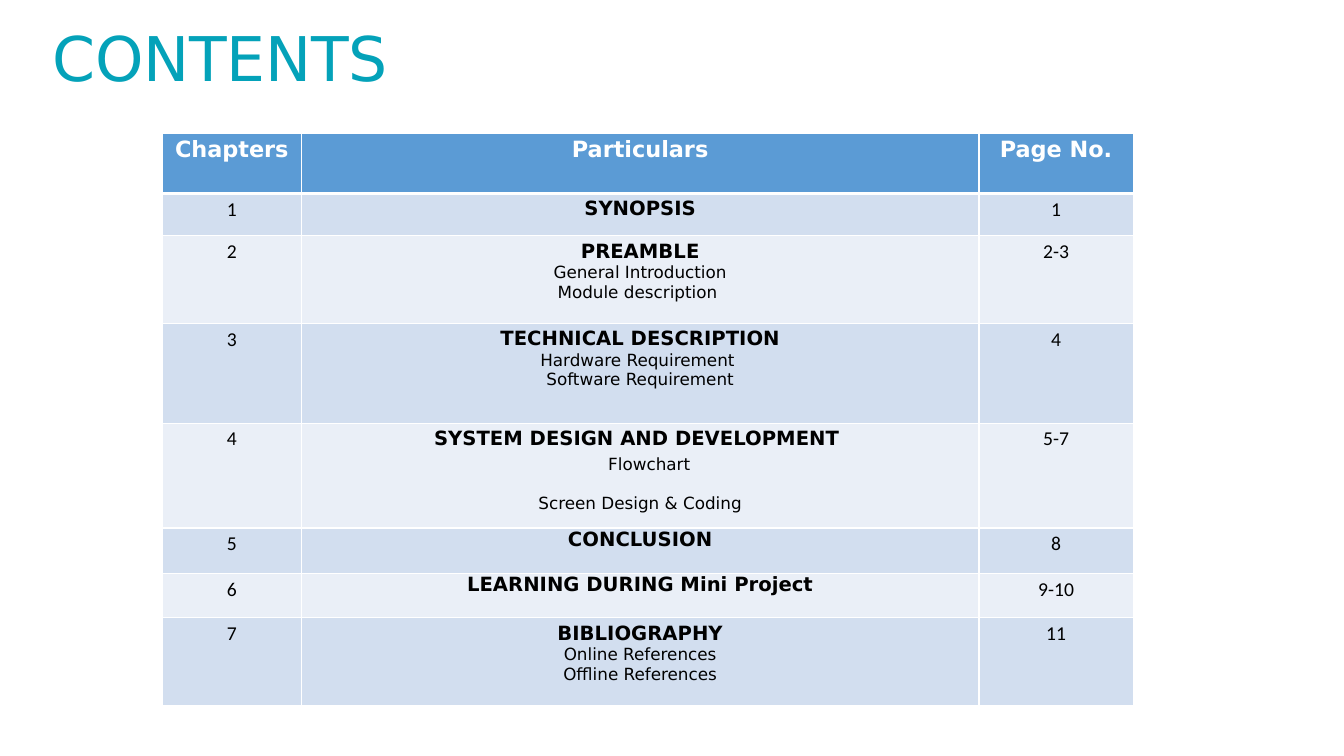
from dataclasses import dataclass

from lxml import etree
from pptx import Presentation
from pptx.dml.color import RGBColor
from pptx.enum.text import MSO_ANCHOR, PP_ALIGN
from pptx.oxml.ns import qn
from pptx.slide import Slide
from pptx.table import _Cell
from pptx.util import Inches, Pt

CENTER = PP_ALIGN.CENTER
MIDDLE = MSO_ANCHOR.MIDDLE


@dataclass(frozen=True)
class Theme:
    title: str = "04A2B9"
    header: str = "5B9BD5"
    odd_row: str = "D2DEEF"
    even_row: str = "EAEFF7"
    white: str = "FFFFFF"
    black: str = "000000"
    display_font: str = "DejaVu Sans"
    number_font: str = "Calibri"
    title_size: int = 44
    header_size: int = 16
    chapter_size: int = 14
    topic_size: int = 12


@dataclass(frozen=True)
class Line:
    text: str
    size: int
    font: str
    color: str = "000000"
    bold: bool = False
    before: int = 0
    indent: float = 0


@dataclass(frozen=True)
class Topic:
    text: str
    before: int = 0
    indent: float = 0


@dataclass(frozen=True)
class Chapter:
    heading: str
    pages: str
    height: float
    topics: tuple[Topic, ...] = ()
    tight: bool = False


THEME = Theme()
COLUMNS = {"Chapters": 1.38, "Particulars": 6.72, "Page No.": 1.53}
HEADER_HEIGHT = 0.6
CHAPTERS = (
    Chapter("SYNOPSIS", "1", 0.42),
    Chapter("PREAMBLE", "2-3", 0.87,
            (Topic("General Introduction"), Topic("Module description "))),
    Chapter("TECHNICAL DESCRIPTION", "4", 0.99,
            (Topic("Hardware Requirement "), Topic("Software Requirement"))),
    Chapter("SYSTEM DESIGN AND DEVELOPMENT ", "5-7", 1.04,
            (Topic("Flowchart", before=3, indent=0.18),
             Topic("Screen Design & Coding", before=14))),
    Chapter("CONCLUSION", "8", 0.45, tight=True),
    Chapter("LEARNING DURING Mini Project", "9-10", 0.44, tight=True),
    Chapter("BIBLIOGRAPHY", "11", 0.87,
            (Topic("Online References"), Topic("Offline References"))),
)


def add_title(s: Slide) -> None:
    box = s.shapes.add_textbox(Inches(0.52), Inches(0.18), Inches(3.4), Inches(0.75))
    tf = box.text_frame
    tf.word_wrap = True
    tf.vertical_anchor = MIDDLE
    tf.margin_left = tf.margin_right = tf.margin_bottom = 0
    tf.margin_top = Inches(0.01)
    p = tf.paragraphs[0]
    r = p.add_run()
    r.text = "CONTENTS"
    r._r.get_or_add_rPr().set("spc", "-20")
    p.font.size = Pt(THEME.title_size)
    p.font.name = THEME.display_font
    p.font.color.rgb = RGBColor.from_string(THEME.title)


def set_borders(cell: _Cell, top: int, bottom: int) -> None:
    """Draw white borders, with top and bottom widths in points."""
    tc_pr = cell._tc.get_or_add_tcPr()
    for side, width in (("L", 1), ("R", 1), ("T", top), ("B", bottom)):
        ln = etree.SubElement(tc_pr, qn(f"a:ln{side}"), w=str(Pt(width)))
        fill = etree.SubElement(ln, qn("a:solidFill"))
        etree.SubElement(fill, qn("a:srgbClr"), val=THEME.white)


def fill_cell(cell: _Cell, lines: list[Line], fill: str, tight: bool = False) -> None:
    cell.fill.solid()
    cell.fill.fore_color.rgb = RGBColor.from_string(fill)
    cell.margin_left = cell.margin_right = Inches(0.06 if tight else 0.08)
    cell.margin_top = cell.margin_bottom = Inches(0 if tight else 0.04)
    tf = cell.text_frame
    for i, line in enumerate(lines):
        p = tf.add_paragraph() if i else tf.paragraphs[0]
        p.text = line.text
        p.alignment = CENTER
        if line.before:
            p.space_before = Pt(line.before)
        if line.indent:
            p._p.get_or_add_pPr().set("marL", str(Inches(line.indent)))
        p.font.size = Pt(line.size)
        p.font.name = line.font
        p.font.bold = line.bold
        p.font.color.rgb = RGBColor.from_string(line.color)


def particulars(chapter: Chapter) -> list[Line]:
    heading = Line(chapter.heading, THEME.chapter_size, THEME.display_font, bold=True)
    return [heading] + [
        Line(t.text, THEME.topic_size, THEME.display_font, before=t.before, indent=t.indent)
        for t in chapter.topics
    ]


def number(text: str) -> list[Line]:
    return [Line(text, THEME.chapter_size, THEME.number_font, THEME.black)]


def add_contents_table(s: Slide) -> None:
    heights = [HEADER_HEIGHT] + [c.height for c in CHAPTERS]
    table = s.shapes.add_table(
        len(heights), len(COLUMNS), Inches(1.61), Inches(1.32),
        Inches(sum(COLUMNS.values())), Inches(sum(heights)),
    ).table
    table.horz_banding = False
    for column, width in zip(table.columns, COLUMNS.values()):
        column.width = Inches(width)
    for i, (row, height) in enumerate(zip(table.rows, heights)):
        row.height = Inches(height)
        for cell in row.cells:
            set_borders(cell, top=3 if i == 1 else 1, bottom=3 if i == 0 else 1)

    for cell, label in zip(table.rows[0].cells, COLUMNS):
        line = Line(label, THEME.header_size, THEME.display_font, THEME.white, bold=True)
        fill_cell(cell, [line], THEME.header)
    for i, chapter in enumerate(CHAPTERS, start=1):
        fill = THEME.odd_row if i % 2 else THEME.even_row
        fill_cell(table.cell(i, 0), number(str(i)), fill)
        fill_cell(table.cell(i, 1), particulars(chapter), fill, chapter.tight)
        fill_cell(table.cell(i, 2), number(chapter.pages), fill)


def main() -> None:
    prs = Presentation()
    prs.slide_width = Inches(13.33)
    prs.slide_height = Inches(7.5)
    s = prs.slides.add_slide(prs.slide_layouts[6])
    add_title(s)
    add_contents_table(s)
    prs.save("out.pptx")


if __name__ == "__main__":
    main()
